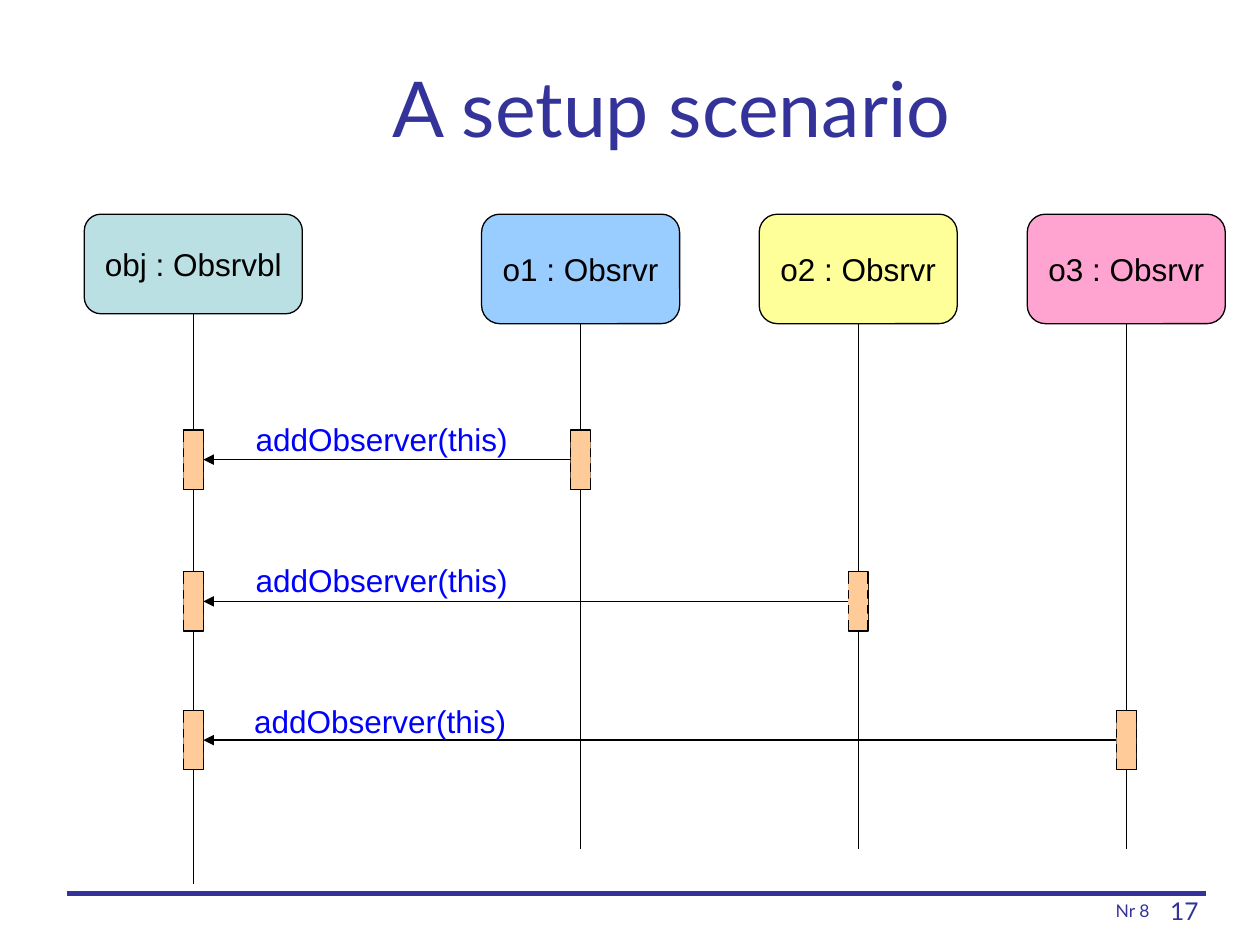
from dataclasses import dataclass

from lxml import etree
from pptx import Presentation
from pptx.dml.color import RGBColor
from pptx.enum.shapes import MSO_CONNECTOR, MSO_SHAPE
from pptx.enum.text import MSO_ANCHOR, MSO_AUTO_SIZE, PP_ALIGN
from pptx.oxml.ns import qn
from pptx.util import Pt

RECT, ROUND = MSO_SHAPE.RECTANGLE, MSO_SHAPE.ROUNDED_RECTANGLE
LINE = MSO_CONNECTOR.STRAIGHT
LEFT, MID, RIGHT = PP_ALIGN.LEFT, PP_ALIGN.CENTER, PP_ALIGN.RIGHT
TOP, HALF, BASE = MSO_ANCHOR.TOP, MSO_ANCHOR.MIDDLE, MSO_ANCHOR.BOTTOM
GROW = MSO_AUTO_SIZE.SHAPE_TO_FIT_TEXT

NAVY, BLACK, BLUE, PEACH = "333399", "000000", "0000FF", "FFCC99"
HEAD_TOP = 122.4
BAR_W, BAR_H = 11.4, 33.9
PIP_TOP, PIP_GAP, PIP_H = 6.9, 8.55, 3.6


@dataclass
class Actor:
    name: str
    left: float
    wide: float
    high: float
    end: float
    fill: str
    alpha: int = 100

    @property
    def axis(self) -> float:
        return self.left + self.wide / 2


@dataclass
class Call:
    text: str
    source: Actor
    target: Actor
    top: float
    left: float
    label: float


def color(code: str) -> RGBColor:
    return RGBColor.from_string(code)


def write(shape, text: str, size: float, font: str, ink: str,
          align=LEFT, anchor=TOP, wrap: bool = True) -> None:
    frame = shape.text_frame
    frame.word_wrap = wrap
    frame.vertical_anchor = anchor
    para = frame.paragraphs[0]
    para.alignment = align
    run = para.add_run()
    run.text = text
    run.font.size = Pt(size)
    run.font.name = font
    run.font.color.rgb = color(ink)


def add_text(slide, box: tuple, *args, **style):
    shape = slide.shapes.add_textbox(*map(Pt, box))
    write(shape, *args, **style)
    return shape


def add_box(shapes, kind, box: tuple, fill: str, edge: bool = True):
    shape = shapes.add_shape(kind, *map(Pt, box))
    shape.shadow.inherit = False
    shape.fill.solid()
    shape.fill.fore_color.rgb = color(fill)
    if edge:
        shape.line.color.rgb = color(BLACK)
        shape.line.width = Pt(0.75)
    else:
        shape.line.fill.background()
    return shape


def add_line(slide, ends: tuple, ink: str = BLACK, width: float = 0.75,
             arrow: bool = False) -> None:
    line = slide.shapes.add_connector(LINE, *map(Pt, ends))
    line.line.color.rgb = color(ink)
    line.line.width = Pt(width)
    if arrow:
        tip = etree.SubElement(line.line._get_or_add_ln(), qn("a:tailEnd"))
        tip.set("type", "triangle")
    etree.SubElement(line._element.spPr, qn("a:effectLst"))


def add_actor(slide, actor: Actor) -> None:
    box = (actor.left, HEAD_TOP, actor.wide, actor.high)
    head = add_box(slide.shapes, ROUND, box, actor.fill)
    write(head, actor.name, 18, "Arial", BLACK, MID, HALF, False)
    if actor.alpha < 100:
        tint = head._element.spPr.find(f".//{qn('a:srgbClr')}")
        etree.SubElement(tint, qn("a:alpha")).set("val", str(actor.alpha * 1000))
    add_line(slide, (actor.axis, HEAD_TOP + actor.high, actor.axis, actor.end))


def add_bar(slide, actor: Actor, top: float) -> None:
    shapes = slide.shapes.add_group_shape().shapes
    left = actor.axis - BAR_W / 2
    add_box(shapes, RECT, (left, top, BAR_W, BAR_H), PEACH)
    for step in range(3):
        pip = top + PIP_TOP + step * PIP_GAP
        add_box(shapes, RECT, (left, pip, BAR_W, PIP_H), PEACH, edge=False)


def add_call(slide, call: Call) -> None:
    for actor in (call.source, call.target):
        add_bar(slide, actor, call.top)
    y = call.top + BAR_H / 2
    start = call.source.axis - BAR_W / 2
    end = call.target.axis + BAR_W / 2
    add_line(slide, (start, y, end, y), arrow=True)
    label = add_text(slide, (call.left, call.label, 158.4, 29), call.text,
                     18, "Arial", BLUE, wrap=False)
    label.text_frame.auto_size = GROW


def main() -> None:
    deck = Presentation()
    deck.slide_width, deck.slide_height = Pt(720), Pt(540)
    slide = deck.slides.add_slide(deck.slide_layouts[6])

    add_text(slide, (653.8, 508.3, 41.8, 23.8), "17 ", 14, "Lato", NAVY, RIGHT)
    add_line(slide, (38.2, 510.5, 689, 510.5), NAVY, 3)
    add_text(slide, (535.7, 508.3, 128.2, 21.6), "Nr 8", 10, "Lato", NAVY,
             RIGHT, BASE)
    add_text(slide, (77.8, 15.8, 612, 90), "A setup scenario", 44, "Lato",
             NAVY, MID, HALF)

    subject = Actor("obj : Obsrvbl", 48.2, 124.6, 56.9, 505.4, "BBE0E3")
    heads = ((275.2, "99CCFF", 100), (433.8, "FFFF99", 100),
             (587, "FF99CC", 90))
    peers = [Actor(f"o{num} : Obsrvr", left, 113.2, 62.6, 485.3, fill, alpha)
             for num, (left, fill, alpha) in enumerate(heads, 1)]
    for actor in (subject, *peers):
        add_actor(slide, actor)

    rows = ((245.7, 139, 236.2), (326.7, 139, 317), (406, 138.2, 397.5))
    for peer, row in zip(peers, rows):
        add_call(slide, Call("addObserver(this)", peer, subject, *row))

    deck.save("out.pptx")


if __name__ == "__main__":
    main()
